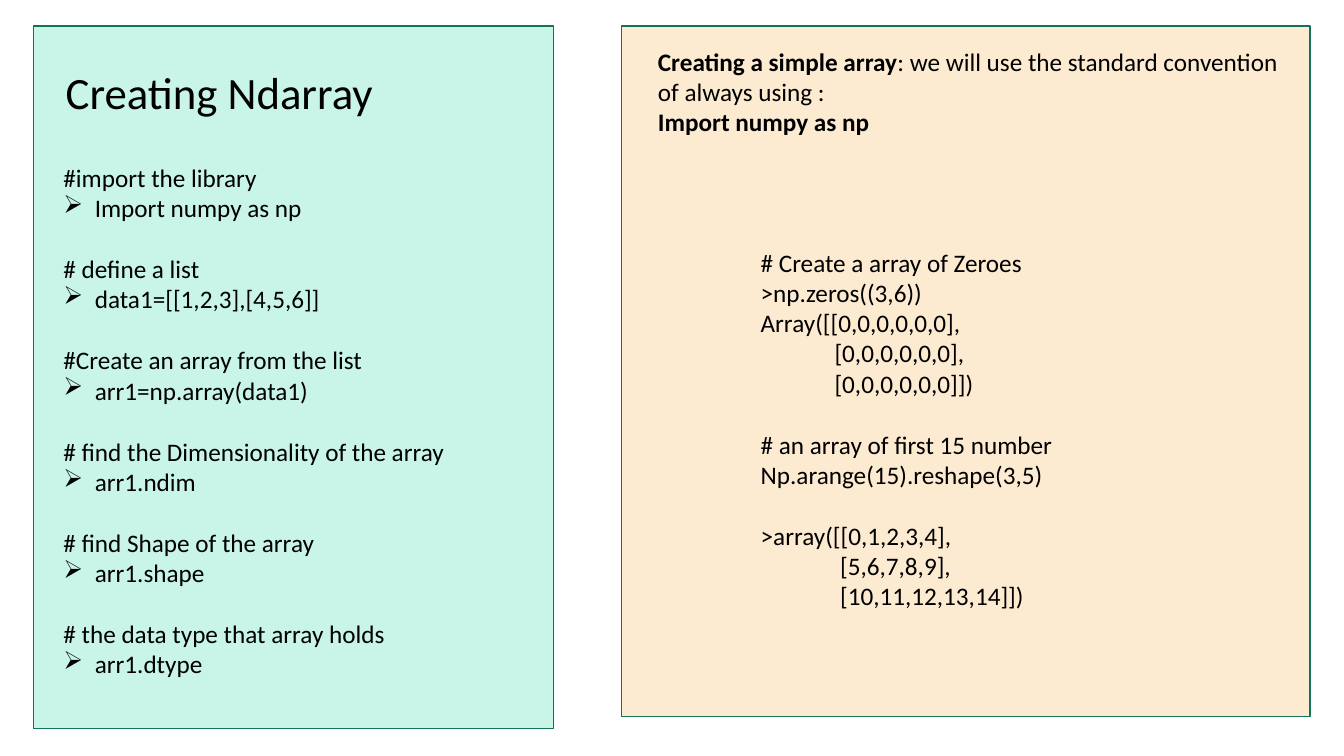
from pptx import Presentation
from pptx.dml.color import RGBColor
from pptx.enum.shapes import MSO_SHAPE
from pptx.enum.text import MSO_AUTO_SIZE, PP_ALIGN
from pptx.util import Cm, Pt
from lxml.etree import SubElement
from pptx.oxml.ns import qn

COLORS = {"mint": "C8F5E8", "cream": "FCEBD1", "edge": "157259", "text": "000000"}
BODY = {"name": "Calibri", "size": Pt(18), "bold": False}
BOLD = {**BODY, "bold": True}
TITLE = {**BODY, "size": Pt(32)}
BLOCK_GAP = Pt(22)
BULLET_INDENT = Cm(0.79)

STEPS = [
    ("#import the library", "Import numpy as np"),
    ("# define a list", "data1=[[1,2,3],[4,5,6]]"),
    ("#Create an array from the list", "arr1=np.array(data1)"),
    ("# find the Dimensionality of the array", "arr1.ndim"),
    ("# find Shape of the array", "arr1.shape"),
    ("# the data type that array holds", "arr1.dtype"),
]
INTRO = [
    [("Creating a simple array", BOLD),
     (": we will use the standard convention of always using :", BODY)],
    [("Import numpy as np", BOLD)],
]
EXAMPLES = [
    ["# Create a array of Zeroes",
     ">np.zeros((3,6))",
     "Array([[0,0,0,0,0,0],",
     "             [0,0,0,0,0,0],",
     "             [0,0,0,0,0,0]])"],
    ["# an array of first 15 number",
     "Np.arange(15).reshape(3,5)"],
    [">array([[0,1,2,3,4],",
     "              [5,6,7,8,9],",
     "              [10,11,12,13,14]])"],
]


def rgb(name):
    return RGBColor.from_string(COLORS[name])


def add_panel(s, x, y, w, h, fill):
    sp = s.shapes.add_shape(MSO_SHAPE.RECTANGLE, Cm(x), Cm(y), Cm(w), Cm(h))
    sp.shadow.inherit = False
    sp.fill.solid()
    sp.fill.fore_color.rgb = rgb(fill)
    sp.line.color.rgb = rgb("edge")
    sp.line.width = Pt(1)


def add_text_box(s, x, y, w, h, wrap=False):
    tf = s.shapes.add_textbox(Cm(x), Cm(y), Cm(w), Cm(h)).text_frame
    tf.word_wrap = wrap
    tf.auto_size = MSO_AUTO_SIZE.SHAPE_TO_FIT_TEXT
    return tf


def add_line(tf, runs, starts_block=False, bullet=False):
    first = not tf.paragraphs[0].runs
    p = tf.paragraphs[0] if first else tf.add_paragraph()
    if bullet:
        pPr = p._p.get_or_add_pPr()
        pPr.set("marL", str(BULLET_INDENT))
        pPr.set("indent", str(-BULLET_INDENT))
        SubElement(pPr, qn("a:buChar")).set("char", "➢")
    if starts_block and not first:
        p.space_before = BLOCK_GAP
    for text, style in runs:
        r = p.add_run()
        r.text = text
        for key, value in style.items():
            setattr(r.font, key, value)
        r.font.color.rgb = rgb("text")
    return p


def add_steps_panel(s, x, y, w, h):
    add_panel(s, x, y, w, h, "mint")
    tf = add_text_box(s, x + 0.51, y + 3.3, 10.24, 14.1)
    for comment, code in STEPS:
        add_line(tf, [(comment, BODY)], starts_block=True)
        add_line(tf, [(code, BODY)], bullet=True)
    tf = add_text_box(s, x + 0.51, y + 0.84, 8.36, 1.63)
    add_line(tf, [("Creating Ndarray", TITLE)]).alignment = PP_ALIGN.CENTER


def add_examples_panel(s, x, y, w, h):
    add_panel(s, x, y, w, h, "cream")
    tf = add_text_box(s, x + 0.66, y + 0.38, w - 0.84, 2.57, wrap=True)
    for runs in INTRO:
        add_line(tf, runs)
    tf = add_text_box(s, x + 3.25, y + 5.44, 7.95, 9.5)
    for block in EXAMPLES:
        for i, code in enumerate(block):
            add_line(tf, [(code, BODY)], starts_block=i == 0)


def main():
    prs = Presentation()
    prs.slide_width, prs.slide_height = Cm(33.87), Cm(19.05)
    s = prs.slides.add_slide(prs.slide_layouts[6])
    add_steps_panel(s, 0.84, 0.66, 13.11, 17.7)
    add_examples_panel(s, 15.67, 0.66, 17.35, 17.4)
    prs.save("out.pptx")


if __name__ == "__main__":
    main()
